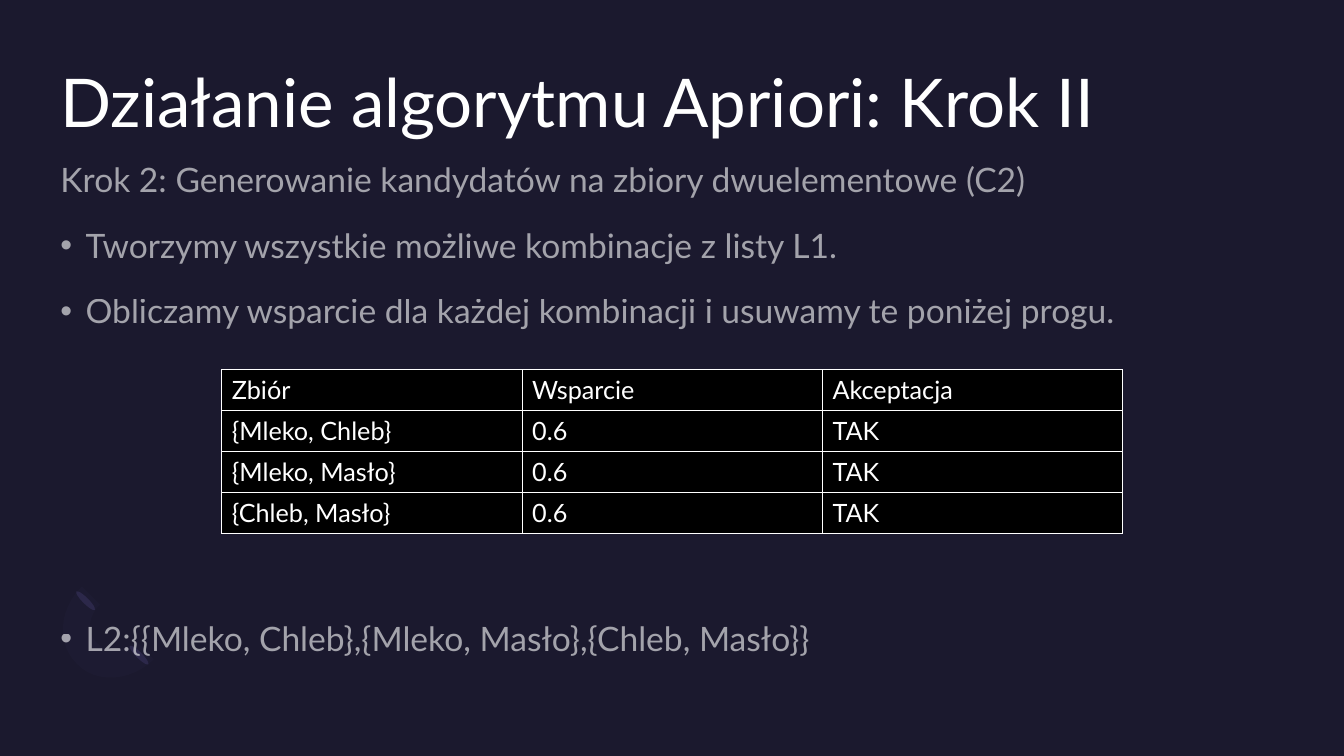
from lxml import etree
from pptx import Presentation
from pptx.dml.color import RGBColor
from pptx.enum.shapes import MSO_SHAPE
from pptx.enum.text import MSO_ANCHOR, MSO_AUTO_SIZE, PP_ALIGN
from pptx.oxml.ns import qn
from pptx.util import Pt

OVAL = MSO_SHAPE.OVAL
TOP = MSO_ANCHOR.TOP
NO_FIT = MSO_AUTO_SIZE.NONE
LEFT = PP_ALIGN.LEFT

FONT = "Lato"
COLORS = {"bg": "1B192E", "text": "FFFFFF", "cell": "000000",
          "petal": "2C284A", "ring": "7771B2"}

TITLE = "Działanie algorytmu Apriori: Krok II"
LINE = 46.8  # text line of 24 pt with the spacing around it
# text, bulleted, space before
BODY = [
    ("Krok 2: Generowanie kandydatów na zbiory dwuelementowe (C2)", False, 10),
    ("Tworzymy wszystkie możliwe kombinacje z listy L1.", True, 10),
    ("Obliczamy wsparcie dla każdej kombinacji i usuwamy te poniżej progu.", True, 10),
    ("L2:{{Mleko, Chleb},{Mleko, Masło},{Chleb, Masło}}", True, 10 + 4 * LINE),
]
TABLE = [
    ("Zbiór", "Wsparcie", "Akceptacja"),
    ("{Mleko, Chleb}", "0.6", "TAK"),
    ("{Mleko, Masło}", "0.6", "TAK"),
    ("{Chleb, Masło}", "0.6", "TAK"),
]


def rgb(name):
    return RGBColor.from_string(COLORS[name])


def set_opacity(element, percent):
    color = element.find(".//" + qn("a:srgbClr"))
    etree.SubElement(color, qn("a:alpha"), val=str(percent * 1000))


def add_run(p, text, size):
    r = p.add_run()
    r.text = text
    r.font.name = FONT
    r.font.size = Pt(size)
    r.font.color.rgb = rgb("text")
    return r


def prepare_frame(tf):
    """Remove the insets and anchor wrapped text at the top."""
    tf.word_wrap = True
    tf.auto_size = NO_FIT
    tf.vertical_anchor = TOP
    tf.margin_left = tf.margin_top = tf.margin_right = tf.margin_bottom = 0


def fill_shape(sp, color):
    sp.shadow.inherit = False
    sp.fill.solid()
    sp.fill.fore_color.rgb = rgb(color)
    sp.line.fill.background()


def curve_points(p0, p1, p2, p3, steps=12):
    """Points of a cubic Bezier curve after its start."""
    points = []
    for i in range(1, steps + 1):
        t = i / steps
        weights = ((1 - t) ** 3, 3 * t * (1 - t) ** 2, 3 * t * t * (1 - t), t ** 3)
        points.append(tuple(sum(w * p[axis] for w, p in zip(weights, (p0, p1, p2, p3)))
                            for axis in (0, 1)))
    return points


def add_ornament(s, x, y):
    """Open half ring with a petal at each end."""
    outer_a = curve_points((13, 55), (-1.4, 41), (0, 16.5), (16.6, 0))
    inner_a = curve_points((29.5, 13), (20.9, 20.9), (20.2, 33.9), (27.4, 40.3))
    inner_b = curve_points((27.4, 40.3), (34.6, 47.5), (46.8, 46.8), (55.4, 38.9))
    outer_b = curve_points((68, 52), (52, 67.7), (26.6, 69.8), (13, 55))
    outline = outer_a + [(29.5, 13)] + inner_a + inner_b + [(68, 52)] + outer_b
    points = [(Pt(x + px), Pt(y + py)) for px, py in outline]
    builder = s.shapes.build_freeform(*points[0])
    builder.add_line_segments(points[1:] + points[:1], close=True)
    ring = builder.convert_to_shape()
    fill_shape(ring, "ring")
    set_opacity(ring.fill._xPr, 3)
    for dx, dy in ((55.4, 39.6), (17.2, 0.7)):
        petal = s.shapes.add_shape(OVAL, Pt(x + dx), Pt(y + dy), Pt(4.3), Pt(18.7))
        petal.rotation = 135
        fill_shape(petal, "petal")


def add_title(s, x, y, w, h):
    sp = s.shapes.title
    sp.left, sp.top, sp.width, sp.height = Pt(x), Pt(y), Pt(w), Pt(h)
    prepare_frame(sp.text_frame)
    p = sp.text_frame.paragraphs[0]
    p.alignment = LEFT
    add_run(p, TITLE, 48)


def add_body(s, x, y, w, h):
    tf = s.shapes.add_textbox(Pt(x), Pt(y), Pt(w), Pt(h)).text_frame
    prepare_frame(tf)
    for i, (text, bulleted, before) in enumerate(BODY):
        p = tf.add_paragraph() if i else tf.paragraphs[0]
        p.space_before, p.space_after = Pt(before), Pt(8)
        pPr = p._p.get_or_add_pPr()
        pPr.set("marL", str(Pt(18)))
        pPr.set("indent", str(-Pt(18)))
        if bulleted:
            etree.SubElement(pPr, qn("a:buFont"), typeface="Arial")
            etree.SubElement(pPr, qn("a:buChar"), char="•")
        else:
            etree.SubElement(pPr, qn("a:buNone"))
        r = add_run(p, text, 24)
        set_opacity(r._r, 60)


def add_borders(cell):
    tcPr = cell._tc.get_or_add_tcPr()
    for side in ("lnL", "lnR", "lnT", "lnB"):
        ln = etree.SubElement(tcPr, qn("a:" + side), w=str(Pt(1)))
        fill = etree.SubElement(ln, qn("a:solidFill"))
        etree.SubElement(fill, qn("a:srgbClr"), val=COLORS["text"])


def add_support_table(s, x, y, w, h):
    rows, cols = len(TABLE), len(TABLE[0])
    table = s.shapes.add_table(rows, cols, Pt(x), Pt(y), Pt(w), Pt(h)).table
    table.first_row = table.horz_banding = False
    for col in table.columns:
        col.width = Pt(w / cols)
    for row, texts in zip(table.rows, TABLE):
        row.height = Pt(h / rows)
        for cell, text in zip(row.cells, texts):
            add_borders(cell)
            cell.fill.solid()
            cell.fill.fore_color.rgb = rgb("cell")
            add_run(cell.text_frame.paragraphs[0], text, 18)


def main():
    prs = Presentation()
    prs.slide_width, prs.slide_height = Pt(960), Pt(540)
    s = prs.slides.add_slide(prs.slide_layouts[5])
    s.background.fill.solid()
    s.background.fill.fore_color.rgb = rgb("bg")
    add_ornament(s, 41.8, 419)
    add_title(s, 43.2, 43.2, 873.6, 105)
    add_body(s, 43.2, 113.8, 873.6, 366.5)
    add_support_table(s, 158.4, 264.2, 643.7, 116.8)
    prs.save("out.pptx")


if __name__ == "__main__":
    main()
